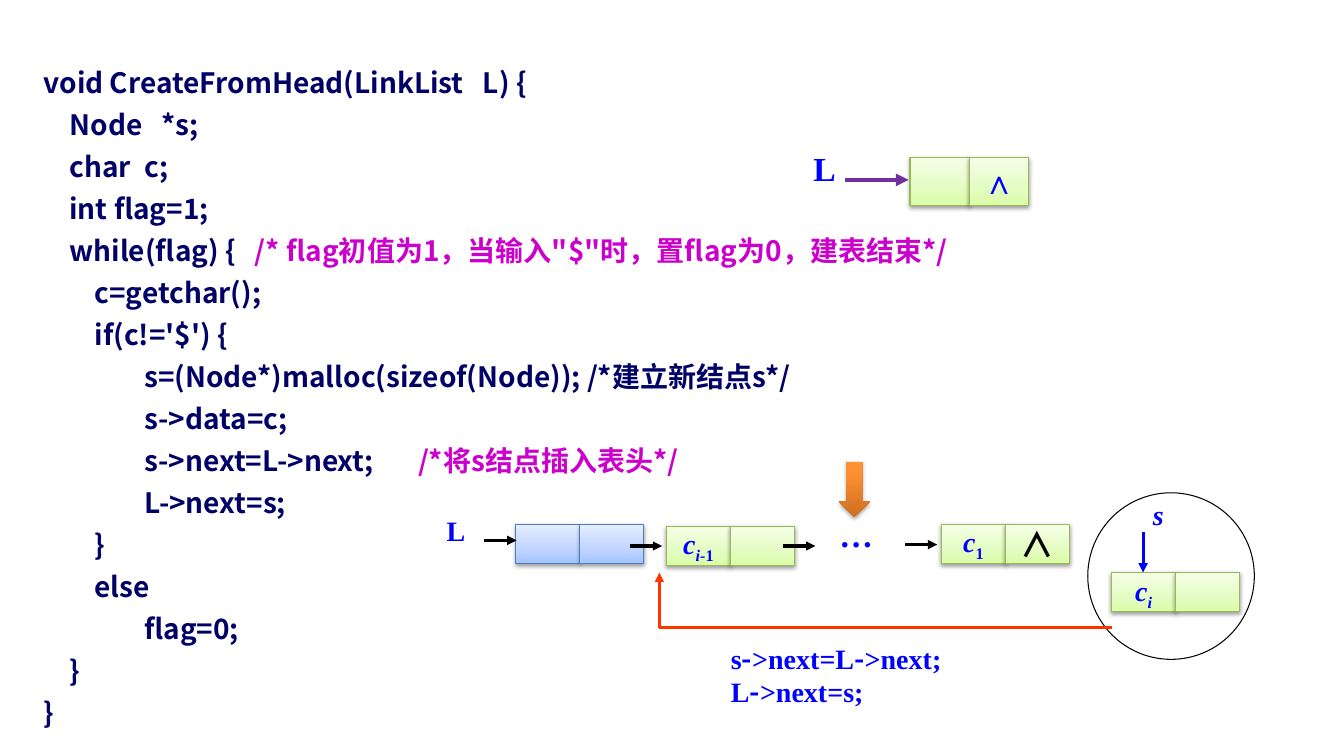
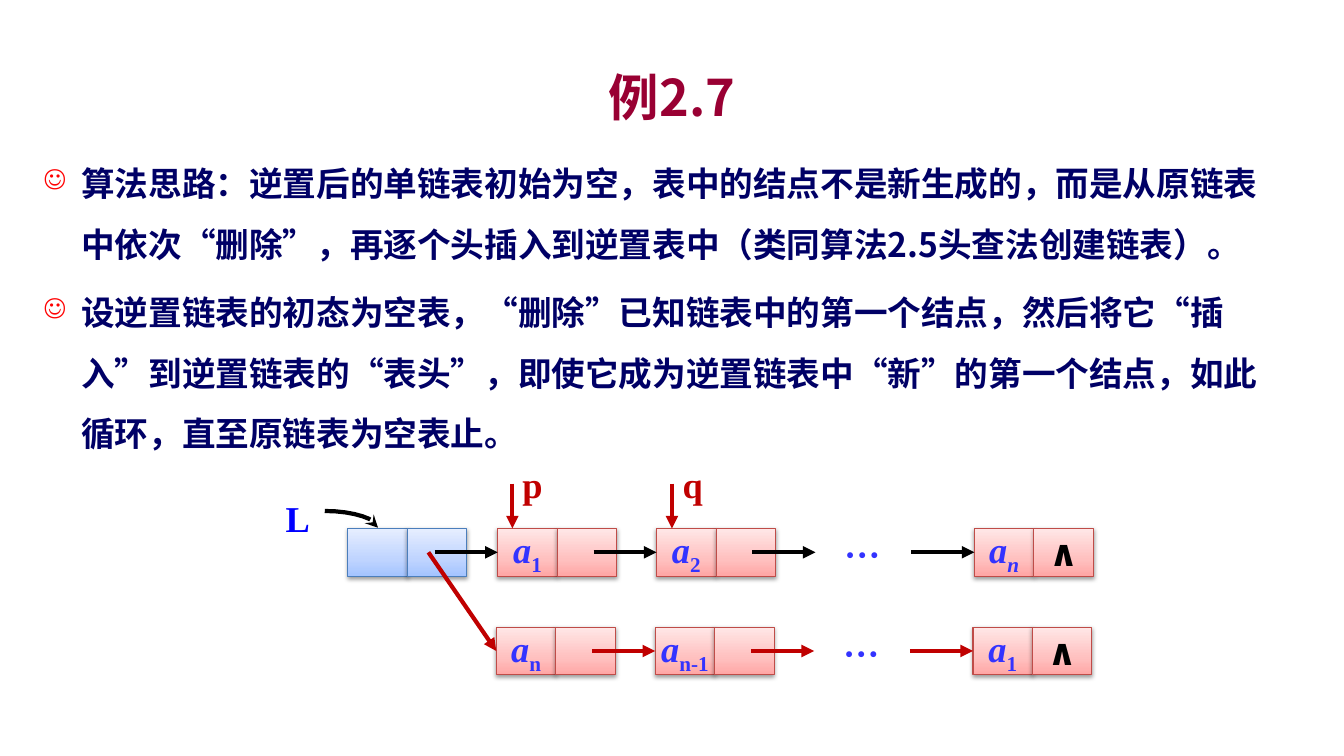
from lxml.etree import SubElement
from pptx import Presentation
from pptx.dml.color import RGBColor
from pptx.enum.shapes import MSO_CONNECTOR as LINK, MSO_SHAPE as FORM
from pptx.enum.text import MSO_ANCHOR as ANCHOR, PP_ALIGN as ALIGN
from pptx.oxml.ns import qn
from pptx.util import Pt

SANS, SERIF, PLAIN = "Noto Sans CJK SC", "Times New Roman", "Calibri"
BLACK = RGBColor(0, 0, 0)
NAVY = RGBColor(0, 0, 0x66)
BLUE = RGBColor(0, 0, 0xFF)
INDIGO = RGBColor(0x33, 0x33, 0xFF)
PINK = RGBColor(0xCC, 0, 0xCC)
WINE = RGBColor(0x99, 0, 0x33)
RED = RGBColor(0xC0, 0, 0)
FLAME = RGBColor(0xFF, 0x33, 0)
SMILE = RGBColor(0xFF, 0, 0)
PURPLE = RGBColor(0x70, 0x30, 0xA0)

SKY = ((0, "A4C4FF"), (35, "BFD4FF"), (100, "E6EEFF")), RGBColor(0x4B, 0x7E, 0xBC)
LIME = ((0, "DAFDA7"), (35, "E4FCC2"), (100, "F5FFE7")), RGBColor(0x98, 0xB9, 0x55)
ROSE = ((0, "FFA6A5"), (35, "FFC0BF"), (100, "FFE7E7")), RGBColor(0xBF, 0x4C, 0x48)
AMBER = ((0, "CC6E20"), (80, "FF9034"), (100, "FF9136")), None

STOPS = (18.5, 36.5, 72, 151, 267.5)
CODE = (
    "void CreateFromHead(LinkList   L) {",
    "\tNode   *s;",
    "\tchar\tc;",
    "\tint flag=1;",
    ("\twhile(flag) {\t", '/* flag初值为1，当输入"$"时，置flag为0，建表结束*/'),
    "\t\tc=getchar();",
    "\t\tif(c!='$') {",
    "\t\t\ts=(Node*)malloc(sizeof(Node)); /*建立新结点s*/",
    "\t\t\ts->data=c;",
    ("\t\t\ts->next=L->next;\t", "/*将s结点插入表头*/"),
    "\t\t\tL->next=s;",
    "\t\t}",
    "\t\telse",
    "\t\t\tflag=0;",
    "\t}",
    "}",
)
IDEAS = (
    "算法思路：逆置后的单链表初始为空，表中的结点不是新生成的，而是从原链表中依次“删除”，"
    "再逐个头插入到逆置表中（类同算法2.5头查法创建链表）。",
    "设逆置链表的初态为空表，“删除”已知链表中的第一个结点，然后将它“插入”到逆置链表的“表头”，"
    "即使它成为逆置链表中“新”的第一个结点，如此循环，直至原链表为空表止。",
)


def add(host, tag, **marks):
    return SubElement(host, qn("a:" + tag), marks)


def set_face(font, face):
    font.name = face
    add(font._element if hasattr(font, "_element") else font._rPr, "ea", typeface=face)


def add_run(para, text, style="", hue=None):
    run = para.add_run()
    run.text = text
    if "i" in style:
        run.font.italic = True
    if "_" in style:
        run.font._rPr.set("baseline", "-25000")
    if "-" in style:
        set_face(run.font, SANS)
    if hue is not None:
        run.font.color.rgb = hue


def set_para(para, runs, size, hue, face=SERIF, lead=None, gap=None,
             align=None, stops=(), smile=False):
    if align is not None:
        para.alignment = align
    if lead:
        para.line_spacing = Pt(lead)
    if gap:
        para.space_after = Pt(gap)
    props = para._p.get_or_add_pPr()
    if smile:
        props.set("marL", str(Pt(27)))
        props.set("indent", str(-Pt(27)))
        add(add(props, "buClr"), "srgbClr", val=str(SMILE))
        add(props, "buSzPct", val="80000")
        add(props, "buChar", char="☺")
    if stops:
        tabs = add(props, "tabLst")
        for stop in stops:
            add(tabs, "tab", pos=str(Pt(stop)), algn="l")
    font = para.font
    font.size, font.bold = Pt(size), True
    font.color.rgb = hue
    set_face(font, face)
    for run in runs:
        add_run(para, *run)


def add_text(slide, x, y, w, h, rows, size, hue, inset=True, **style):
    box = slide.shapes.add_textbox(Pt(x), Pt(y), Pt(w), Pt(h))
    frame = box.text_frame
    frame.word_wrap = True
    if not inset:
        frame.margin_left = frame.margin_right = 0
        frame.margin_top = frame.margin_bottom = 0
    for i, runs in enumerate(rows):
        para = frame.add_paragraph() if i else frame.paragraphs[0]
        set_para(para, runs, size, hue, **style)
    return frame


def label(slide, x, y, w, text, size, hue, slant="", **style):
    return add_text(slide, x, y, w, size * 1.5, [[(text, slant)]], size, hue, **style)


def add_box(slide, form, x, y, w, h, look):
    shape = slide.shapes.add_shape(form, Pt(x), Pt(y), Pt(w), Pt(h))
    hues, edge = look
    props = shape._element.spPr
    grad = add(props, "gradFill", rotWithShape="1")
    stops = add(grad, "gsLst")
    for place, hue in hues:
        add(add(stops, "gs", pos=str(place * 1000)), "srgbClr", val=hue)
    add(grad, "lin", ang="16200000", scaled="0")
    props.insert(2, grad)
    if edge is None:
        shape.line.fill.background()
    else:
        shape.line.color.rgb = edge
        shape.line.width = Pt(0.75)
    shape.shadow.inherit = False
    shade = add(props.find(qn("a:effectLst")), "outerShdw", blurRad=str(Pt(3.1)),
                dist=str(Pt(1.6)), dir="5400000", rotWithShape="0")
    add(add(shade, "srgbClr", val="000000"), "alpha", val="38000")
    return shape


def add_node(slide, x, y, w, h, look, data=None, end=None, size=20, hue=BLUE):
    left, right = (add_box(slide, FORM.RECTANGLE, x + i * w, y, w, h, look) for i in (0, 1))
    for cell in (left, right):
        cell.text_frame.word_wrap = False
    if data:
        set_para(left.text_frame.paragraphs[0], data, size, hue)
    if end:
        set_para(right.text_frame.paragraphs[0], [("∧",)], *end)


def add_head(line, kind):
    add(line.line._get_or_add_ln(), "tailEnd", type=kind)


def add_line(slide, x, y, to_x, to_y, hue, width, head=True):
    line = slide.shapes.add_connector(LINK.STRAIGHT, Pt(x), Pt(y), Pt(to_x), Pt(to_y))
    line.line.color.rgb = hue
    line.line.width = Pt(width)
    if head:
        add_head(line, "triangle")
    add(line._element.spPr, "effectLst")


def add_curve(slide, ends, hue, width, steps=8):
    def point(t):
        parts = ((1 - t) ** 3, 3 * t * (1 - t) ** 2, 3 * t * t * (1 - t), t ** 3)
        return tuple(Pt(sum(a * b for a, b in zip(parts, axis))) for axis in zip(*ends))

    path = [point(i / steps) for i in range(steps + 1)]
    pen = slide.shapes.build_freeform(*path[0])
    pen.add_line_segments(path[1:], close=False)
    curve = pen.convert_to_shape()
    curve.fill.background()
    curve.line.color.rgb = hue
    curve.line.width = Pt(width)
    add_head(curve, "stealth")
    curve.shadow.inherit = False


def draw_code(slide):
    rows = []
    for line in CODE:
        text, *note = (line,) if isinstance(line, str) else line
        rows.append([(text,)] + [(part, "", PINK) for part in note])
    add_text(slide, 24, 43, 898, 474, rows, 20, NAVY, face=SANS, lead=24, gap=6, stops=STOPS)


def draw_insert(slide):
    ring = slide.shapes.add_shape(FORM.OVAL, Pt(777), Pt(352), Pt(119), Pt(119))
    ring.fill.background()
    ring.line.color.rgb = BLACK
    ring.line.width = Pt(0.75)
    ring.shadow.inherit = False

    size = 45.75, 28
    add_node(slide, 368.5, 374.5, *size, SKY)
    add_node(slide, 476, 376, *size, LIME, [("c", "i"), ("i-", "i_"), ("1", "_")])
    add_node(slide, 672.5, 374.5, *size, LIME, [("c", "i"), ("1", "_")], (24, BLACK, SANS))
    add_node(slide, 794, 409, *size, LIME, [("c", "i"), ("i", "i_")])
    for x, y in ((346, 386), (450, 390), (559.5, 390), (646.5, 389)):
        add_line(slide, x, y, x + 23, y, BLACK, 2.25)
    label(slide, 312, 363.5, 40, "L", 20, BLUE)
    label(slide, 592.5, 363.5, 40, "…", 24, BLUE)
    label(slide, 816.5, 352, 45, "s", 20, BLUE, "i")
    add_line(slide, 816.5, 380, 816.5, 409, BLUE, 2.25)
    add_line(slide, 471, 448.5, 471, 409, FLAME, 2.25)
    add_line(slide, 471, 448.5, 794, 448.5, FLAME, 2.25, head=False)
    add_box(slide, FORM.DOWN_ARROW, 599, 330, 22.5, 39.5, AMBER)
    dash = ("-", "-")
    add_text(slide, 515, 454.5, 230, 55,
             [[("s",), dash, (">next=L",), dash, (">next;",)], [("L",), dash, (">next=s;",)]],
             20, BLUE, lead=24)

    add_node(slide, 650, 112.5, 42.5, 34, LIME, end=(24, BLUE, SERIF))
    add_line(slide, 603.5, 128.5, 649, 128.5, PURPLE, 3)
    label(slide, 581, 106, 34, "L", 24, BLUE, inset=False)


def draw_chain(slide, x, y, names, hue):
    for i, data in zip((0, 1, 3), names):
        end = (26, BLACK, PLAIN) if i == 3 else None
        add_node(slide, x + i * 113.5, y, 42.5, 34, ROSE, data, end, 26, INDIGO)
    for i in range(3):
        start = x + 68.5 + i * 113.5
        add_line(slide, start, y + 17, start + 45, y + 17, hue, 3)
    label(slide, x + 238.5, y, 45, "…", 26, INDIGO, face=SANS, lead=31.2, align=ALIGN.CENTER)


def draw_reverse(slide):
    top, low = 377.5, 448
    add_node(slide, 248.5, top, 42.5, 34, SKY)
    draw_chain(slide, 355.5, top, ([("a", "i"), ("1", "_")], [("a", "i"), ("2", "_")],
                                   [("a", "i"), ("n", "i_")]), BLACK)
    draw_chain(slide, 354.5, low, ([("a", "i"), (n, "_")] for n in ("n", "n-1", "1")), RED)
    add_curve(slide, ((232, 365), (253, 365), (270, 371), (270, 377)), BLACK, 3)
    label(slide, 197, 350.5, 34, "L", 26, BLUE)
    add_line(slide, 310.5, top + 17, 355.5, top + 17, BLACK, 3)
    add_line(slide, 306, top + 17, 354.5, low + 17, RED, 3)
    for x, name in ((366, "p"), (480.5, "q")):
        label(slide, x, 326.5, 34, name, 26, RED)
    for x in (366, 480):
        add_line(slide, x, 345.5, x, top, RED, 3)


def main():
    deck = Presentation()
    deck.slide_width, deck.slide_height = Pt(960), Pt(540)
    first, second = (deck.slides.add_slide(deck.slide_layouts[6]) for _ in range(2))
    draw_code(first)
    draw_insert(first)
    title = add_text(second, 72, 42, 816, 54, [[("例2.7",)]], 36, WINE,
                     face=SANS, align=ALIGN.CENTER)
    title.vertical_anchor = ANCHOR.MIDDLE
    add_text(second, 24, 98.5, 904.5, 216, [[(idea,)] for idea in IDEAS], 24, NAVY,
             face=SANS, lead=43.2, gap=6, smile=True)
    draw_reverse(second)
    deck.save("out.pptx")


if __name__ == "__main__":
    main()
